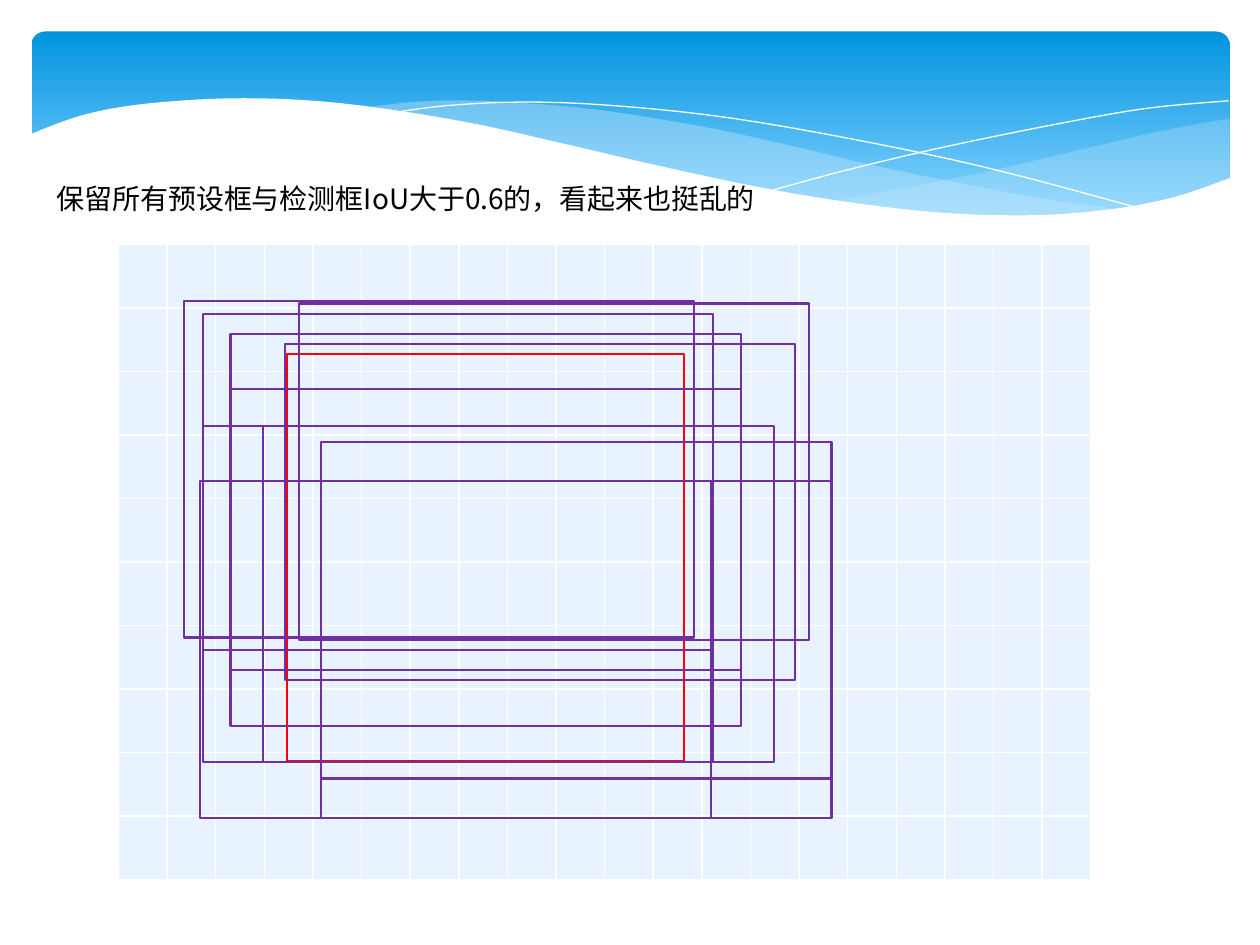
from dataclasses import dataclass, field

from lxml.etree import SubElement
from pptx import Presentation
from pptx.dml.color import RGBColor
from pptx.enum.shapes import MSO_SHAPE
from pptx.enum.text import MSO_ANCHOR, MSO_AUTO_SIZE, PP_ALIGN
from pptx.oxml.ns import qn
from pptx.util import Inches, Pt


@dataclass
class Theme:
    """Colours, type and line sizes of the slide."""
    text: str = "000000"
    sky: tuple = ("0293E0", "83D3FE")
    mist: str = "C6E7FC"
    white: str = "FFFFFF"
    cell: str = "E8F3FF"
    truth: str = "FF0000"
    prior: str = "7030A0"
    font: str = "Noto Sans CJK SC"
    size: float = 16
    edge: float = 1.25
    rule: float = 1
    hair: float = 0


def write(frame, text, font, size, color, align=PP_ALIGN.LEFT):
    """Put one formatted paragraph into a text frame."""
    frame.text = text
    para = frame.paragraphs[0]
    para.alignment = align
    run = para.runs[0]
    run.font.name = font
    run.font.size = Pt(size)
    run.font.color.rgb = RGBColor.from_string(color)
    SubElement(run.font._element, qn("a:ea"), typeface=font)


def smooth(knots, steps=5):
    """Return points on a Catmull-Rom curve through the knots."""
    ends = [knots[0], *knots, knots[-1]]
    points = [knots[0]]
    for a, b, c, d in zip(ends, ends[1:], ends[2:], ends[3:]):
        for step in range(1, steps + 1):
            t = step / steps
            points.append(tuple(
                (2 * q + (r - p) * t + (2 * p - 5 * q + 4 * r - s) * t ** 2
                 + (3 * q - p - 3 * r + s) * t ** 3) / 2
                for p, q, r, s in zip(a, b, c, d)))
    return points


@dataclass
class Canvas:
    """Draw on a slide with a grid of 100 columns and 75 rows."""
    slide: object
    unit: int
    theme: Theme = field(default_factory=Theme)

    def span(self, *cells):
        """Turn grid lengths into slide lengths."""
        return [round(cell * self.unit) for cell in cells]

    def style(self, shape, fill=None, alpha=None, line=None, width=0):
        """Set the fill and line of a shape."""
        shape.shadow.inherit = False
        if fill:
            shape.fill.solid()
            shape.fill.fore_color.rgb = RGBColor.from_string(fill)
            if alpha:
                tint = shape._element.spPr.find(qn("a:solidFill"))[0]
                SubElement(tint, qn("a:alpha"), val=str(alpha * 1000))
        else:
            shape.fill.background()
        if line:
            shape.line.color.rgb = RGBColor.from_string(line)
            shape.line.width = Pt(width)
        else:
            shape.line.fill.background()

    def band(self, *area):
        """Add the rounded header with its gradient."""
        shape = self.slide.shapes.add_shape(
            MSO_SHAPE.ROUNDED_RECTANGLE, *self.span(*area))
        self.style(shape)
        shape.adjustments[0] = 0.07
        shape.fill.gradient()
        shape.fill.gradient_angle = 270
        for stop, color, place in zip(
                shape.fill.gradient_stops, self.theme.sky, (0, 0.9)):
            stop.color.rgb = RGBColor.from_string(color)
            stop.position = place

    def wave(self, *curves, closed=True, **look):
        """Add an outline made of smooth curves joined end to end."""
        points = [self.span(*point) for curve in curves
                  for point in smooth(curve)]
        path = self.slide.shapes.build_freeform(*points[0], scale=1.0)
        path.add_line_segments(points[1:], close=closed)
        self.style(path.convert_to_shape(), **look)

    def mesh(self, rows, cols, *area):
        """Add an empty table with even cells and white rules."""
        left, top, width, height = self.span(*area)
        table = self.slide.shapes.add_table(
            rows, cols, left, top, width, height).table
        table.first_row = table.horz_banding = False
        for cell in table.iter_cells():
            props = cell._tc.get_or_add_tcPr()
            for side in ("a:lnL", "a:lnR", "a:lnT", "a:lnB"):
                line = SubElement(props, qn(side), w=str(Pt(self.theme.rule)))
                fill = SubElement(line, qn("a:solidFill"))
                SubElement(fill, qn("a:srgbClr"), val=self.theme.white)
            cell.fill.solid()
            cell.fill.fore_color.rgb = RGBColor.from_string(self.theme.cell)

    def box(self, color, *area):
        """Add a hollow bounding box."""
        shape = self.slide.shapes.add_shape(
            MSO_SHAPE.RECTANGLE, *self.span(*area))
        self.style(shape, line=color, width=self.theme.edge)

    def head(self, text, *area):
        """Move the title placeholder to the front and fill it."""
        title = self.slide.shapes.title
        title.left, title.top, title.width, title.height = self.span(*area)
        self.slide.shapes._spTree.append(title._element)
        frame = title.text_frame
        frame.word_wrap = True
        frame.auto_size = MSO_AUTO_SIZE.NONE
        frame.vertical_anchor = MSO_ANCHOR.TOP
        write(frame, text, font=self.theme.font, size=self.theme.size,
              color=self.theme.text)


def main():
    """Build and save the slide."""
    deck = Presentation()
    deck.slide_width, deck.slide_height = Inches(10), Inches(7.5)
    slide = deck.slides.add_slide(deck.slide_layouts[5])
    art = Canvas(slide, deck.slide_width // 100)
    theme = art.theme

    art.band(2.5, 2.5, 95.1, 15.6)
    art.wave(
        [(97.6, 9.4), (92.1, 10.4), (86.1, 11.8), (77.9, 13.7), (66.1, 16)],
        [(66.1, 16), (73.2, 16.8), (80.3, 17.2), (87.2, 16.9), (92.8, 15.8),
         (97.6, 14.1)],
        fill=theme.mist, alpha=29)
    art.wave(
        [(89.3, 16.7), (80.7, 15.4), (70.6, 13.4), (62.9, 11.6), (55.5, 10),
         (46.5, 8.6), (38, 8), (32.8, 8.1), (28.6, 8.6)],
        [(28.6, 8.6), (36.2, 9.7), (44.9, 11.6), (56.6, 14.3), (66.5, 16.1),
         (74.8, 17), (81.8, 17.3), (89.3, 16.7)],
        fill=theme.mist, alpha=40)
    hair = dict(closed=False, line=theme.white, width=theme.hair)
    art.wave(
        [(30.9, 9), (35.3, 8.4), (41.6, 8.1), (48.9, 8.4), (58.2, 9.4),
         (69.5, 11.4), (79.5, 13.6), (90.7, 16.6)], **hair)
    art.wave(
        [(61.3, 15.1), (67.2, 13.5), (74.8, 11.7), (83.6, 9.9), (91, 8.6),
         (97.5, 8)], **hair)
    art.wave(
        [(97.7, 14.1), (93, 15.7), (87.5, 16.7), (80.9, 17.1), (72.6, 16.7),
         (62.6, 15.3), (52.9, 13.3), (44.7, 11.4), (36.5, 9.6), (27.1, 8.2),
         (19.3, 7.8), (11.9, 8.2), (6.7, 9.1), (2.3, 10.7)],
        [(2.3, 22.4), (97.7, 22.4)],
        fill=theme.white)

    art.mesh(10, 20, 9.4, 19.4, 77.2, 50.4)
    art.box(theme.truth, 22.8, 28.1, 31.5, 32.3)
    for left, top in ((18.3, 30.9), (20.9, 33.8), (16.1, 33.8), (22.6, 27.3),
                      (16.1, 24.9), (25.5, 35.1), (15.9, 38.2), (23.7, 24.1),
                      (25.5, 38.2), (18.3, 26.5), (14.6, 23.9)):
        art.box(theme.prior, left, top, 40.5, 26.7)
    art.head("保留所有预设框与检测框IoU大于0.6的，看起来也挺乱的",
             3.5, 13.9, 58.3, 3.7)
    deck.save("out.pptx")


if __name__ == "__main__":
    main()
